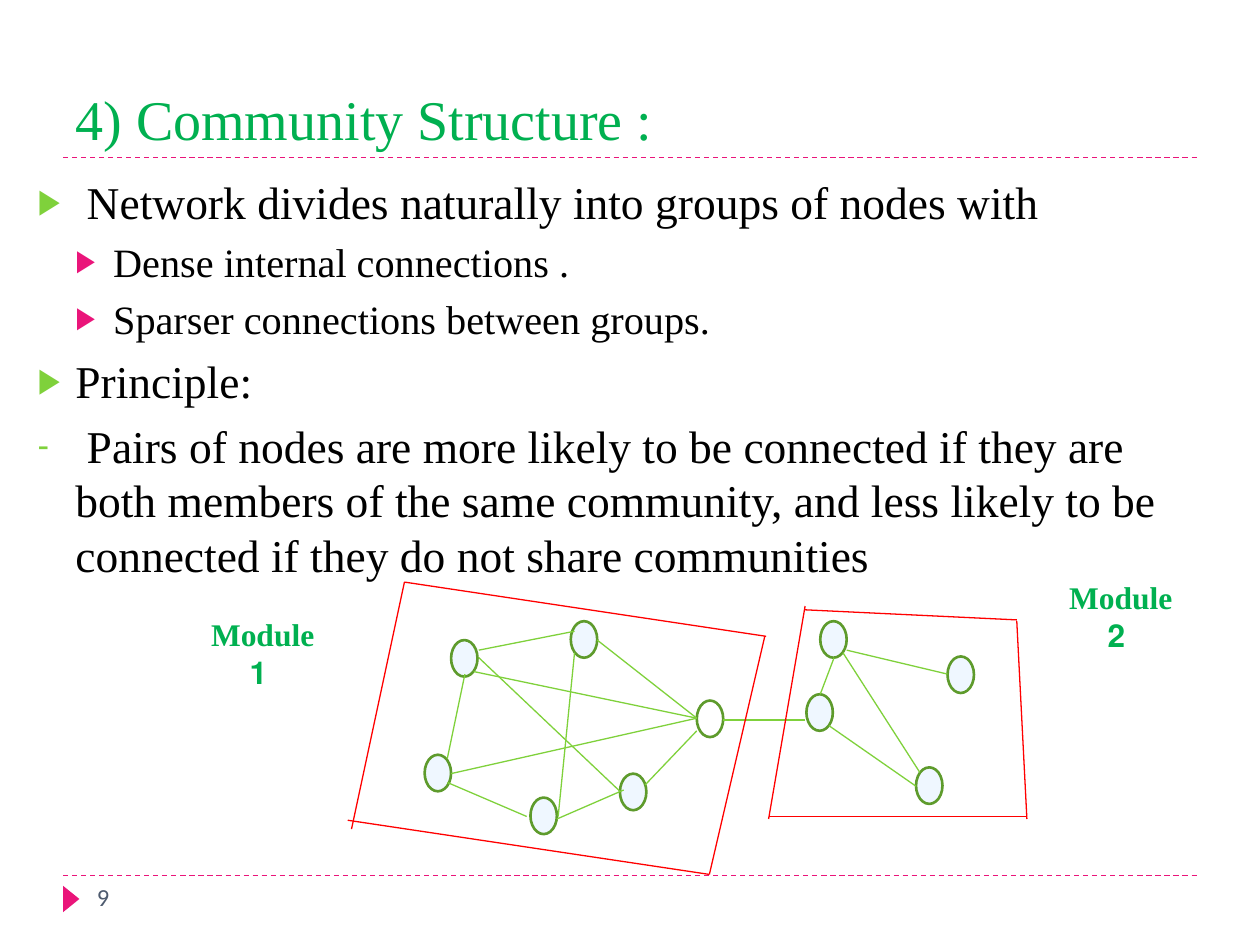
"""Build a slide on community structure with a two-module network diagram."""
import lxml.etree
import pptx
import pptx.dml.color
import pptx.enum.dml
import pptx.enum.shapes
import pptx.enum.text
import pptx.oxml.ns
import pptx.util

COLORS = {
    "heading": "00B050", "text": "000000", "number": "4E5B6F", "accent": "EA157A",
    "link": "7FD13B", "node": "EFF7FF", "ring": "5E9B2C", "border": "FF0000",
}
SERIF = "Times New Roman"
COLUMNS, ROWS = 100, 75
WIDTH, HEIGHT = pptx.util.Inches(10), pptx.util.Inches(7.5)
NODE_SIZE = (2.1, 2.9)
HOLLOW_NODE = (55.3, 55.6)
NODES = [
    (45.3, 49.3), (35.8, 50.8), (33.7, 59.9), (42.1, 63.3), (49.2, 61.4),
    (65.1, 49.3), (75.2, 52.1), (72.7, 60.9), (64, 55.1),
]
LINKS = [
    (55.3, 57, 47.4, 50.8), (55.3, 58, 51.2, 62.3), (49.5, 62.7, 44.2, 65),
    (41.8, 64.8, 35.5, 62.1), (44.3, 64.8, 45.6, 51.8), (45.6, 50.1, 38, 51.6),
    (63.9, 57.15, 57.4, 57.15), (66.2, 52.2, 65.1, 55.1), (75.2, 53.5, 67.2, 51.6),
    (72.7, 62.4, 65.8, 57.6), (66.9, 51.8, 73, 61.3), (55.3, 57, 35.8, 61.4),
    (55.3, 57, 37.6, 53.3), (35.5, 60.2, 36.9, 53.5), (49.2, 62.8, 38, 52.2),
]
BORDERS = [
    (63.9, 48.4, 80.7, 49.2), (80.7, 49.3, 81.5, 65), (61, 64.8, 81.5, 64.8),
    (61, 65, 63.9, 48.1), (32.1, 46.2, 60.8, 50.5), (56.3, 69.4, 60.7, 50.5),
    (32.1, 46.2, 27.9, 65.8), (27.6, 65.1, 56.3, 69.4),
]
BODY = [
    (0, "▶", "\u00a0Network divides naturally into groups of nodes with"),
    (1, "▶", "Dense internal connections . "),
    (1, "▶", "Sparser connections between groups."),
    (0, "▶", "Principle:"),
    (0, "-", "\u00a0Pairs of nodes are more likely to be connected if they are both "
             "members of the same community, and less likely to be connected if "
             "they do not share communities"),
]
LEVELS = [
    {"size": 26, "before": 6, "indent": 3, "bullet": "link"},
    {"size": 23, "before": 5, "indent": 6, "bullet": "accent"},
]


def col(count):
    return round(WIDTH * count / COLUMNS)


def row(count):
    return round(HEIGHT * count / ROWS)


def cells(left, top, width, height):
    return col(left), row(top), col(width), row(height)


def rgb(name):
    return pptx.dml.color.RGBColor.from_string(COLORS[name])


def add_line(slide, ends, color, dashed=False):
    x1, y1, x2, y2 = ends
    line = slide.shapes.add_connector(
        pptx.enum.shapes.MSO_CONNECTOR.STRAIGHT, col(x1), row(y1), col(x2), row(y2))
    line.line.color.rgb = rgb(color)
    line.line.width = pptx.util.Pt(0.75)
    if dashed:
        line.line.dash_style = pptx.enum.dml.MSO_LINE.DASH
    properties = line._element.spPr
    lxml.etree.SubElement(properties, pptx.oxml.ns.qn("a:effectLst"))


def add_node(slide, corner, filled=True):
    node = slide.shapes.add_shape(
        pptx.enum.shapes.MSO_SHAPE.OVAL, *cells(*corner, *NODE_SIZE))
    node.shadow.inherit = False
    if filled:
        node.fill.solid()
        node.fill.fore_color.rgb = rgb("node")
    else:
        node.fill.background()
    node.line.color.rgb = rgb("ring")
    node.line.width = pptx.util.Pt(1.5)


def add_marker(slide):
    marker = slide.shapes.add_shape(
        pptx.enum.shapes.MSO_SHAPE.ISOSCELES_TRIANGLE, *cells(4.6, 70.7, 2.1, 1.3))
    marker.rotation = 90
    marker.shadow.inherit = False
    marker.fill.solid()
    marker.fill.fore_color.rgb = rgb("accent")
    marker.line.fill.background()


def add_text(slide, box, lines, size, color, font=SERIF, bold=False):
    frame = slide.shapes.add_textbox(*cells(*box)).text_frame
    frame.word_wrap = True
    frame.text = "\n".join(lines)
    for paragraph in frame.paragraphs:
        paragraph.font.name = font
        paragraph.font.size = pptx.util.Pt(size)
        paragraph.font.bold = bold
        paragraph.font.color.rgb = rgb(color)
    return frame


def add_bullet(paragraph, symbol, color):
    properties = paragraph._p.get_or_add_pPr()
    following = properties.find(pptx.oxml.ns.qn("a:defRPr"))
    tint = lxml.etree.Element(pptx.oxml.ns.qn("a:buClr"))
    lxml.etree.SubElement(tint, pptx.oxml.ns.qn("a:srgbClr"), val=COLORS[color])
    scale = lxml.etree.Element(pptx.oxml.ns.qn("a:buSzPct"), val="76000")
    typeface = lxml.etree.Element(pptx.oxml.ns.qn("a:buFont"), typeface="Arial")
    character = lxml.etree.Element(pptx.oxml.ns.qn("a:buChar"), char=symbol)
    for part in (tint, scale, typeface, character):
        following.addprevious(part)


def add_body(slide):
    frame = add_text(slide, (2, 13.3, 95.3, 56.5), [text for _, _, text in BODY],
                     LEVELS[0]["size"], "text")
    for paragraph, (level, symbol, _) in zip(frame.paragraphs, BODY):
        style = LEVELS[level]
        paragraph.level = level
        paragraph.font.size = pptx.util.Pt(style["size"])
        paragraph.space_before = pptx.util.Pt(style["before"])
        properties = paragraph._p.get_or_add_pPr()
        properties.set("marL", str(col(style["indent"])))
        properties.set("indent", str(-col(3)))
        add_bullet(paragraph, symbol, style["bullet"])


def add_module_label(slide, left, top, number):
    frame = add_text(slide, (left, top, 15, 7.1), ["Module ", number], 18,
                     "heading", bold=True)
    for paragraph in frame.paragraphs:
        paragraph.alignment = pptx.enum.text.PP_ALIGN.CENTER
        paragraph._p.get_or_add_pPr().set("rtl", "1")


def main():
    deck = pptx.Presentation()
    deck.slide_width, deck.slide_height = WIDTH, HEIGHT
    slide = deck.slides.add_slide(deck.slide_layouts[6])
    for rule in (69.5, 12.5):
        add_line(slide, (5, rule, 95, rule), "accent", dashed=True)
    add_marker(slide)
    title = add_text(slide, (5, 1.7, 90, 10.8), ["4) Community Structure :"], 32, "heading")
    title.vertical_anchor = pptx.enum.text.MSO_ANCHOR.BOTTOM
    add_text(slide, (6.7, 69.5, 21.7, 4), ["9"], 14, "number", font="Calibri")
    add_body(slide)
    add_node(slide, HOLLOW_NODE, filled=False)
    for corner in NODES:
        add_node(slide, corner)
    for color, group in (("link", LINKS), ("border", BORDERS)):
        for ends in group:
            add_line(slide, ends, color)
    add_module_label(slide, 13, 48.3, "1")
    add_module_label(slide, 81.1, 45.4, "2")
    deck.save("out.pptx")


main()
